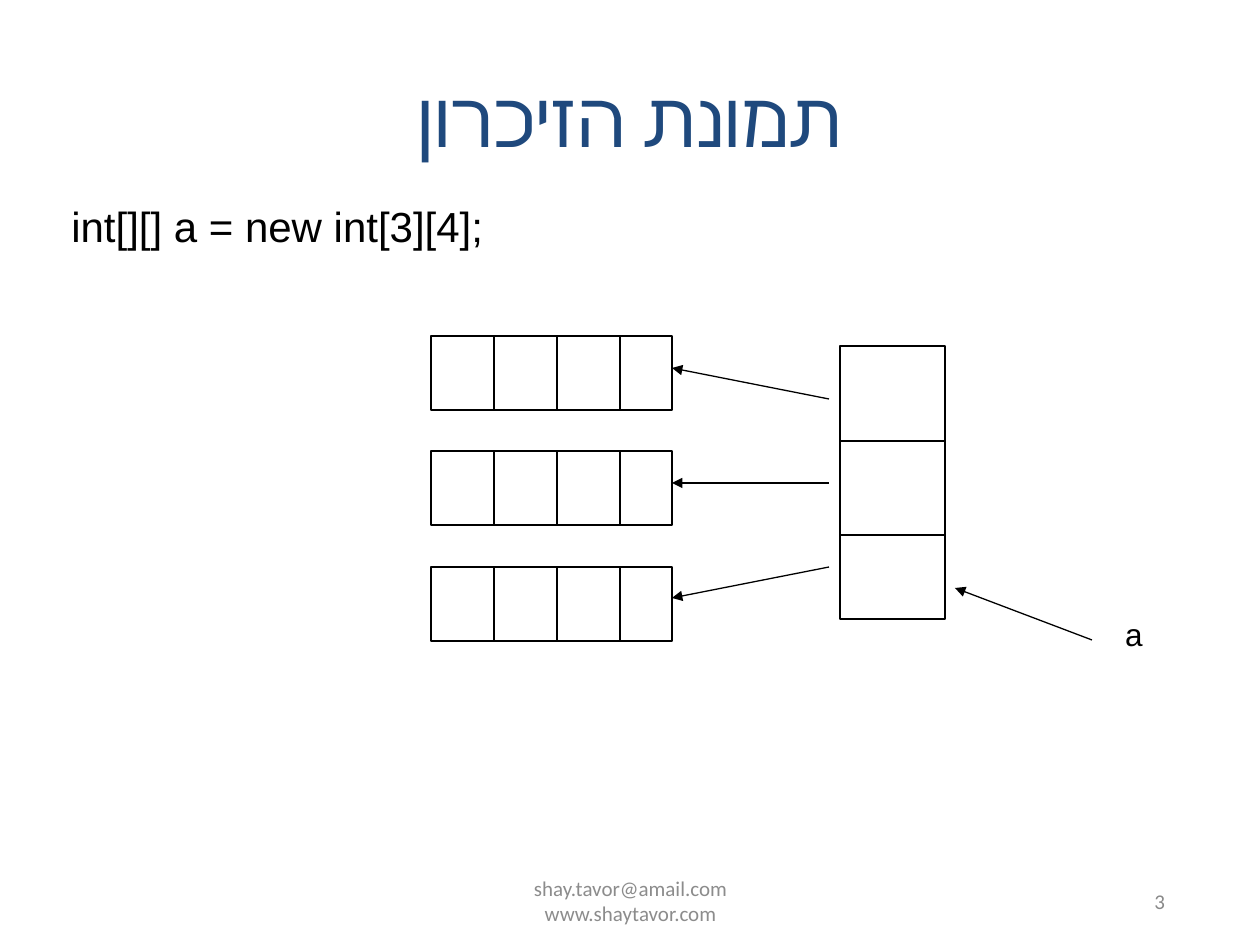
import pptx
import pptx.util
import pptx.dml.color
import pptx.enum.shapes
import pptx.enum.text
import lxml.etree

SCALE = 914400 / 126
BLACK = "000000"
ALIGN = pptx.enum.text.PP_ALIGN
ANCHOR = pptx.enum.text.MSO_ANCHOR


def emu(*pixels):
    return [pptx.util.Emu(round(value * SCALE)) for value in pixels]


def color(value):
    return pptx.dml.color.RGBColor.from_string(value)


def write(shape, lines, size, font, fill, align, anchor, rtl=False):
    frame = shape.text_frame
    frame.word_wrap = True
    frame.vertical_anchor = anchor
    paragraph = frame.paragraphs[0]
    paragraph.alignment = align
    if rtl:
        paragraph._p.get_or_add_pPr().set("rtl", "1")
    for index, line in enumerate(lines):
        if index:
            paragraph.add_line_break()
        run = paragraph.add_run()
        run.text = line
        run.font.size = pptx.util.Pt(size)
        run.font.name = font
        run.font.color.rgb = color(fill)
        properties = run._r.get_or_add_rPr()
        complex_font = lxml.etree.SubElement(properties, pptx.oxml.ns.qn("a:cs"))
        complex_font.set("typeface", font)


def add_text(slide, box, *style, **options):
    write(slide.shapes.add_textbox(*emu(*box)), *style, **options)


def add_title(slide, text):
    title = slide.shapes.title
    title.left, title.top, title.width, title.height = emu(63, 38, 1134, 157)
    write(title, [text], 44, "Calibri", "1F497D", ALIGN.CENTER, ANCHOR.MIDDLE, rtl=True)


def add_line(slide, start, end, arrow=False):
    connector = slide.shapes.add_connector(
        pptx.enum.shapes.MSO_CONNECTOR.STRAIGHT, *emu(*start, *end))
    connector.line.color.rgb = color(BLACK)
    connector.line.width = pptx.util.Pt(0.75)
    if arrow:
        tail = lxml.etree.SubElement(
            connector.line._get_or_add_ln(), pptx.oxml.ns.qn("a:tailEnd"))
        tail.set("type", "triangle")
    lxml.etree.SubElement(connector._element.spPr, pptx.oxml.ns.qn("a:effectLst"))


def add_box(slide, *box):
    shape = slide.shapes.add_shape(
        pptx.enum.shapes.MSO_SHAPE.RECTANGLE, *emu(*box))
    shape.shadow.inherit = False
    shape.fill.background()
    shape.line.color.rgb = color(BLACK)
    shape.line.width = pptx.util.Pt(0.75)


def add_outer_array(slide):
    left, top, width, height = 840, 346, 105, 273
    add_box(slide, left, top, width, height)
    for y in (441, 535):
        add_line(slide, (left, y), (left + width, y))


def add_inner_array(slide, top):
    left, width, height, cell = 431, 241, 74, 63
    add_box(slide, left, top, width, height)
    for index in range(1, 4):
        x = left + index * cell
        add_line(slide, (x, top), (x, top + height))


def main():
    presentation = pptx.Presentation()
    presentation.slide_width, presentation.slide_height = emu(1260, 945)
    slide = presentation.slides.add_slide(presentation.slide_layouts[5])

    add_title(slide, "תמונת הזיכרון")
    add_text(slide, (59, 194, 451, 63), ["int[][] a = new int[3][4];"],
             24, "Arial", BLACK, ALIGN.LEFT, ANCHOR.TOP)

    add_outer_array(slide)
    for top in (336, 451, 567):
        add_inner_array(slide, top)
    for start_y, end_y in ((399, 368), (483, 483), (567, 598)):
        add_line(slide, (829, start_y), (672, end_y), arrow=True)

    add_text(slide, (1050, 609, 105, 50), ["a"],
             18, "Arial", BLACK, ALIGN.RIGHT, ANCHOR.TOP, rtl=True)
    add_line(slide, (1092, 640), (955, 588), arrow=True)

    add_text(slide, (431, 876, 399, 50), ["shay.tavor@amail.com", "www.shaytavor.com"],
             12, "Calibri", "8C8C8C", ALIGN.CENTER, ANCHOR.MIDDLE, rtl=True)
    add_text(slide, (1142, 876, 55, 50), ["3"],
             12, "Calibri", "898989", ALIGN.LEFT, ANCHOR.MIDDLE, rtl=True)

    presentation.save("out.pptx")


main()
